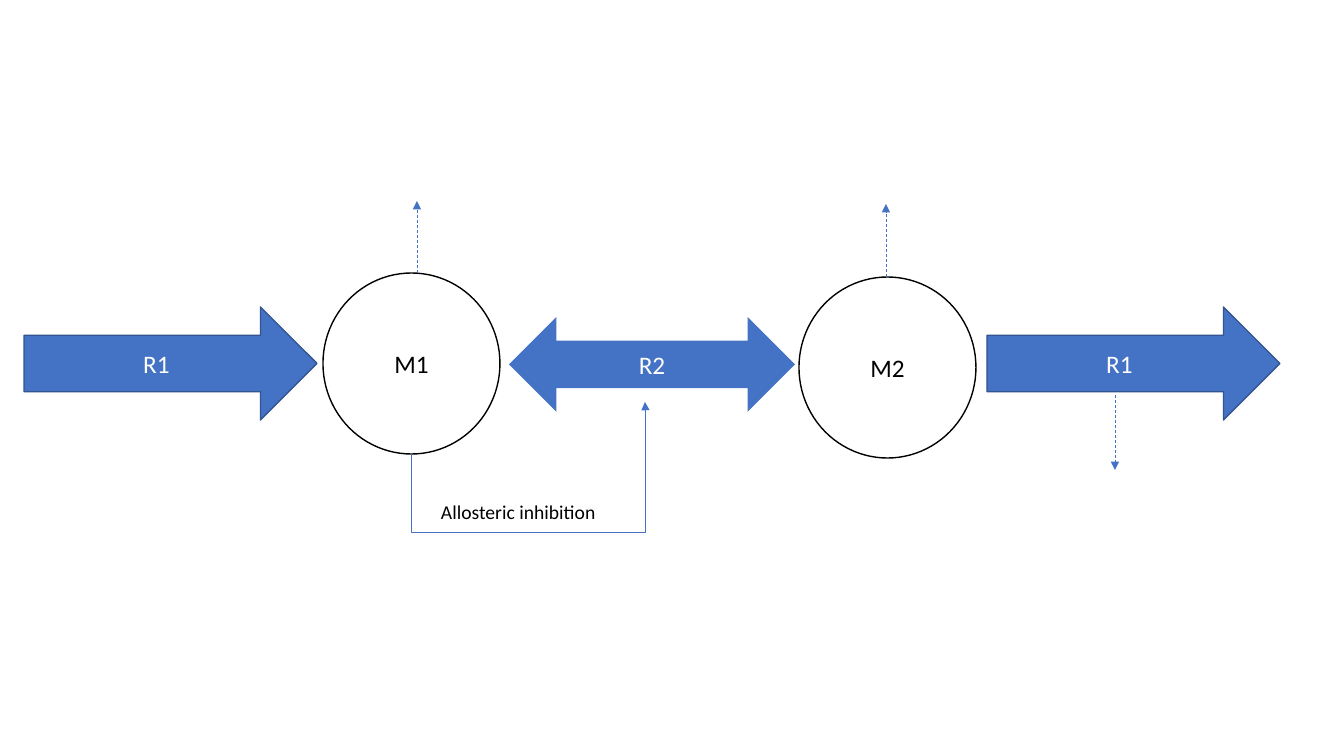
from lxml import etree
from pptx import Presentation
from pptx.dml.color import RGBColor
from pptx.enum.dml import MSO_LINE
from pptx.enum.shapes import MSO_CONNECTOR, MSO_SHAPE
from pptx.enum.text import MSO_ANCHOR, MSO_AUTO_SIZE, PP_ALIGN
from pptx.oxml.ns import qn
from pptx.util import Pt

PX = 914400 / 100.8
BLUE = RGBColor(0x44, 0x72, 0xC4)
DARK_BLUE = RGBColor(0x32, 0x54, 0x91)
BLACK = RGBColor(0, 0, 0)
WHITE = RGBColor(0xFF, 0xFF, 0xFF)
CIRCLE = MSO_SHAPE.OVAL
RIGHT = MSO_SHAPE.RIGHT_ARROW
BOTH = MSO_SHAPE.LEFT_RIGHT_ARROW
STRAIGHT = MSO_CONNECTOR.STRAIGHT
ELBOW = MSO_CONNECTOR.ELBOW
DASH = MSO_LINE.DASH
CENTER = PP_ALIGN.CENTER
MIDDLE = MSO_ANCHOR.MIDDLE


def add_run(p, text, size, color):
    r = p.add_run()
    r.text = text
    r.font.name = "Calibri"
    r.font.size = Pt(size)
    r.font.color.rgb = color


def add_arrow(kind, *ends):
    sp = s.shapes.add_connector(kind, *[round(v * PX) for v in ends])
    sp.line.color.rgb = BLUE
    sp.line.width = Pt(0.5)
    if kind == STRAIGHT:
        sp.line.dash_style = DASH
    ln = sp.line._get_or_add_ln()
    etree.SubElement(ln, qn("a:tailEnd"), type="triangle")
    etree.SubElement(sp._element.spPr, qn("a:effectLst"))
    return sp


prs = Presentation()
prs.slide_width = round(1344 * PX)
prs.slide_height = round(756 * PX)
s = prs.slides.add_slide(prs.slide_layouts[6])

nodes = [
    ("M1", CIRCLE, 323, 273, 177, 181, WHITE, BLACK, BLACK),
    ("M2", CIRCLE, 799, 277, 177, 181, WHITE, BLACK, BLACK),
    ("R1", RIGHT, 24, 307, 293, 113, BLUE, DARK_BLUE, WHITE),
    ("R2", BOTH, 509, 317, 286, 95, BLUE, None, WHITE),
    ("R1", RIGHT, 987, 307, 293, 113, BLUE, DARK_BLUE, WHITE),
]
for text, kind, x, y, w, h, fill, line, color in nodes:
    sp = s.shapes.add_shape(kind, *[round(v * PX) for v in (x, y, w, h)])
    sp.shadow.inherit = False
    sp.fill.solid()
    sp.fill.fore_color.rgb = fill
    if line is None:
        sp.line.fill.background()
    else:
        sp.line.color.rgb = line
        sp.line.width = Pt(1)
    tf = sp.text_frame
    tf.vertical_anchor = MIDDLE
    p = tf.paragraphs[0]
    p.alignment = CENTER
    add_run(p, text, 18, color)

inhibition = add_arrow(ELBOW, 554, 545, 502, 311)
inhibition.rotation = 90
geom = inhibition._element.spPr.find(qn("a:prstGeom"))
geom.set("prst", "bentConnector4")
guides = geom.find(qn("a:avLst"))
if guides is None:
    guides = etree.SubElement(geom, qn("a:avLst"))
for name, value in (("adj1", -151000), ("adj2", 100200)):
    etree.SubElement(guides, qn("a:gd"), name=name, fmla=f"val {value}")

label = s.shapes.add_textbox(*[round(v * PX) for v in (431, 495, 206, 35)])
tf = label.text_frame
tf.word_wrap = True
tf.auto_size = MSO_AUTO_SIZE.SHAPE_TO_FIT_TEXT
add_run(tf.paragraphs[0], "Allosteric inhibition", 14, BLACK)

for x, start, end in ((1115, 395, 470), (886, 277, 204), (417, 273, 201)):
    add_arrow(STRAIGHT, x, start, x, end)

prs.save("out.pptx")
